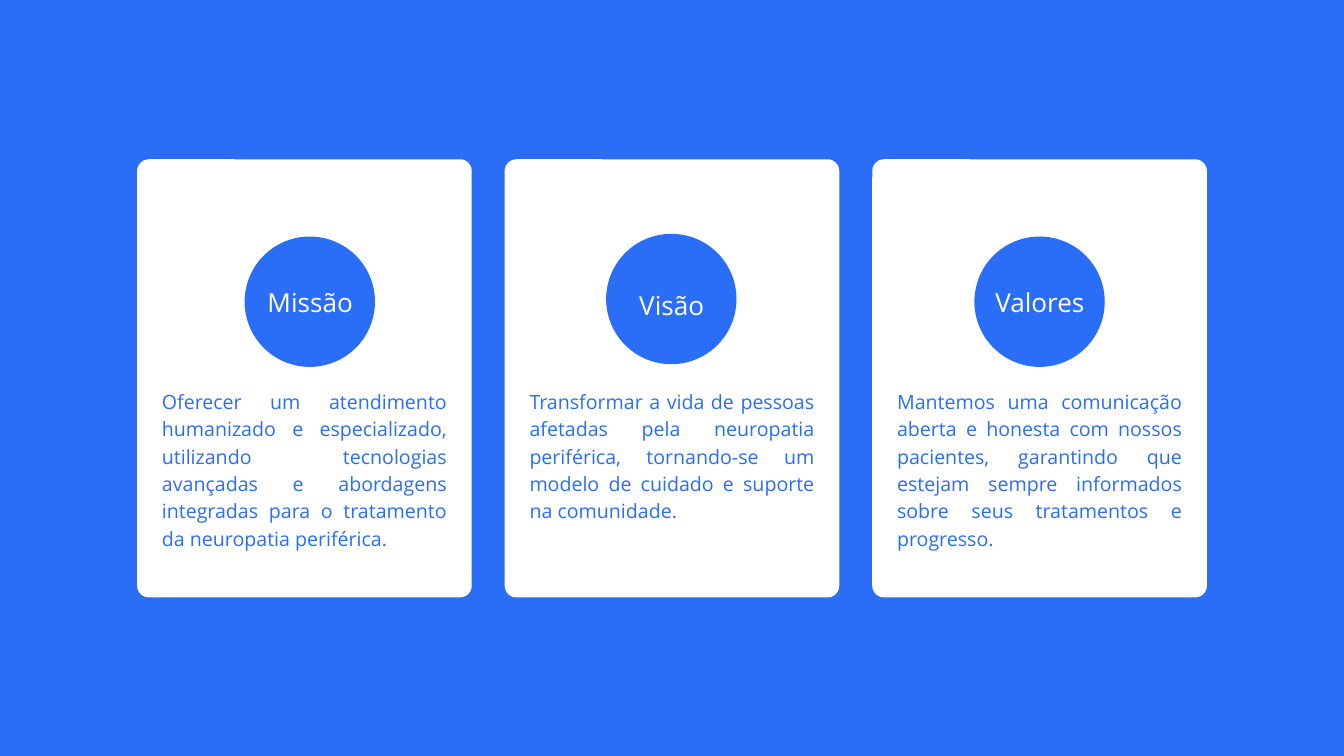
from pptx import Presentation
from pptx import util as u
from pptx.dml.color import RGBColor
from pptx.enum import shapes, text

PX = 9144  # EMU per px, 100 px to the inch
BLUE = RGBColor(0x2A, 0x6D, 0xF7)
WHITE = RGBColor(0xFF, 0xFF, 0xFF)

LEFT, TOP, PITCH = 204, 237, 547
WIDTH, HEIGHT, ROUND = 498, 652, 0.035
DISC, PAD = 194, 37

# title, disc offset from the card, disc top, label top, body
CARDS = [
    ("Missão", 160, 352, 412,
     "Oferecer um atendimento humanizado e especializado, utilizando "
     "tecnologias avançadas e abordagens integradas para o tratamento "
     "da neuropatia periférica."),
    ("Visão", 151, 348, 416,
     "Transformar a vida de pessoas afetadas pela neuropatia periférica, "
     "tornando-se um modelo de cuidado e suporte na comunidade."),
    ("Valores", 152, 352, 412,
     "Mantemos uma comunicação aberta e honesta com nossos pacientes, "
     "garantindo que estejam sempre informados sobre seus tratamentos "
     "e progresso."),
]


class Pen:
    font = "Open Sans"

    def __init__(self, slide):
        self.slide = slide

    def ground(self, color):
        fill = self.slide.background.fill
        fill.solid()
        fill.fore_color.rgb = color

    def shape(self, kind, box, color):
        item = self.slide.shapes.add_shape(kind, *(n * PX for n in box))
        item.shadow.inherit = False
        item.fill.solid()
        item.fill.fore_color.rgb = color
        item.line.fill.background()
        return item

    def card(self, box):
        kind = shapes.MSO_SHAPE.ROUNDED_RECTANGLE
        self.shape(kind, box, WHITE).adjustments[0] = ROUND

    def disc(self, x, y):
        self.shape(shapes.MSO_SHAPE.OVAL, (x, y, DISC, DISC), BLUE)

    def label(self, words, box, size, lead, color, align):
        """Add a text box; size and lead (line spacing) are in points."""
        item = self.slide.shapes.add_textbox(*(n * PX for n in box))
        frame = item.text_frame
        frame.word_wrap = True
        frame.margin_left = frame.margin_right = 0
        frame.margin_top = frame.margin_bottom = 0
        frame.text = words
        para = frame.paragraphs[0]
        para.alignment = align
        para.line_spacing = u.Pt(lead)
        font = para.runs[0].font
        font.name, font.size = self.font, u.Pt(size)
        font.color.rgb = color


def main():
    deck = Presentation()
    deck.slide_width, deck.slide_height = 2000 * PX, 1125 * PX
    pen = Pen(deck.slides.add_slide(deck.slide_layouts[6]))
    pen.ground(BLUE)
    for i, (title, shift, top, head, body) in enumerate(CARDS):
        x = LEFT + i * PITCH
        pen.card((x, TOP, WIDTH, HEIGHT))
        pen.label(body, (x + PAD, 574, WIDTH - 2 * PAD, 283),
                  21, 29.4, BLUE, text.PP_ALIGN.JUSTIFY)
        pen.disc(x + shift, top)
        pen.label(title, (x + shift + 20, head, 155, 56),
                  28, 44, WHITE, text.PP_ALIGN.CENTER)
    deck.save("out.pptx")


if __name__ == "__main__":
    main()
